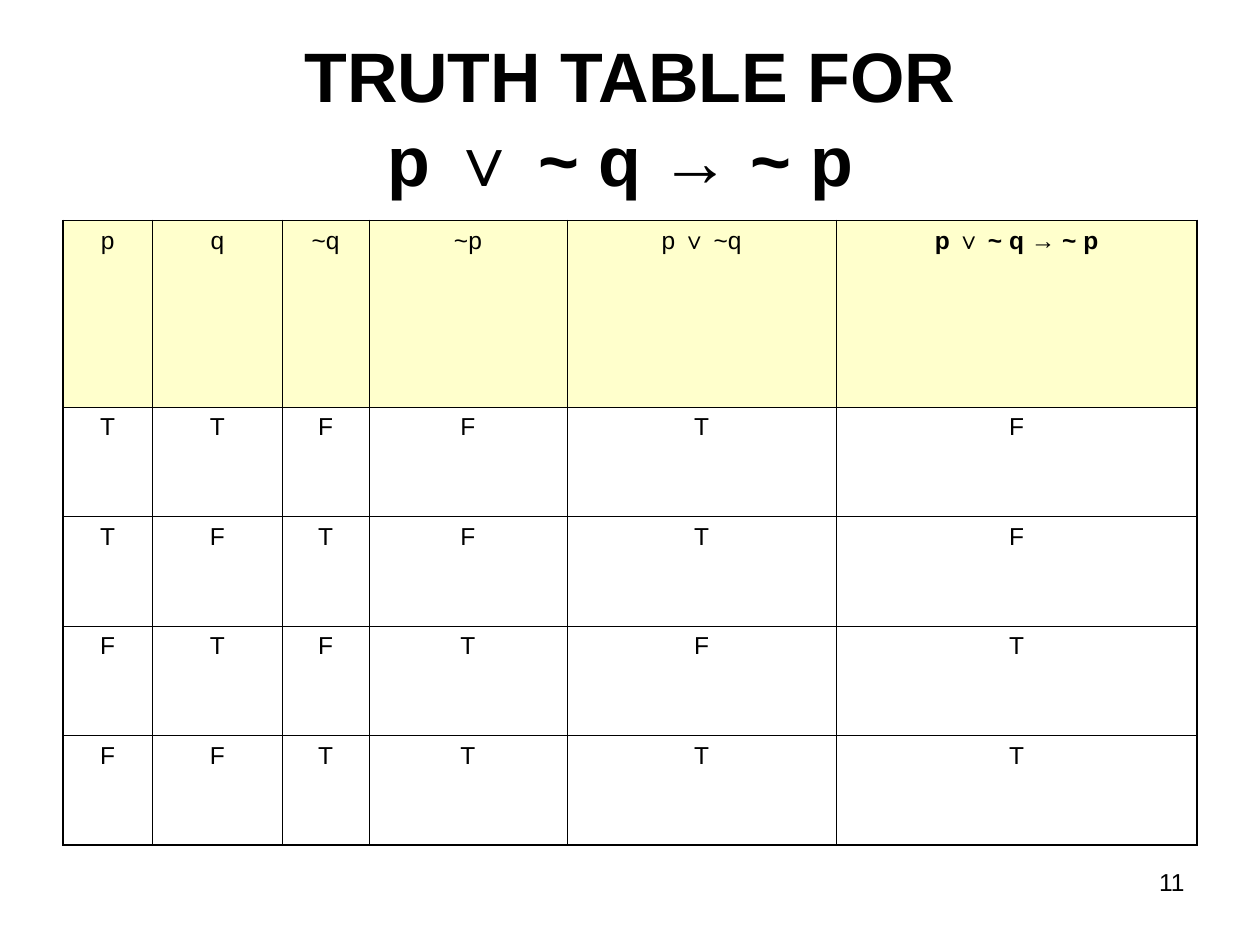
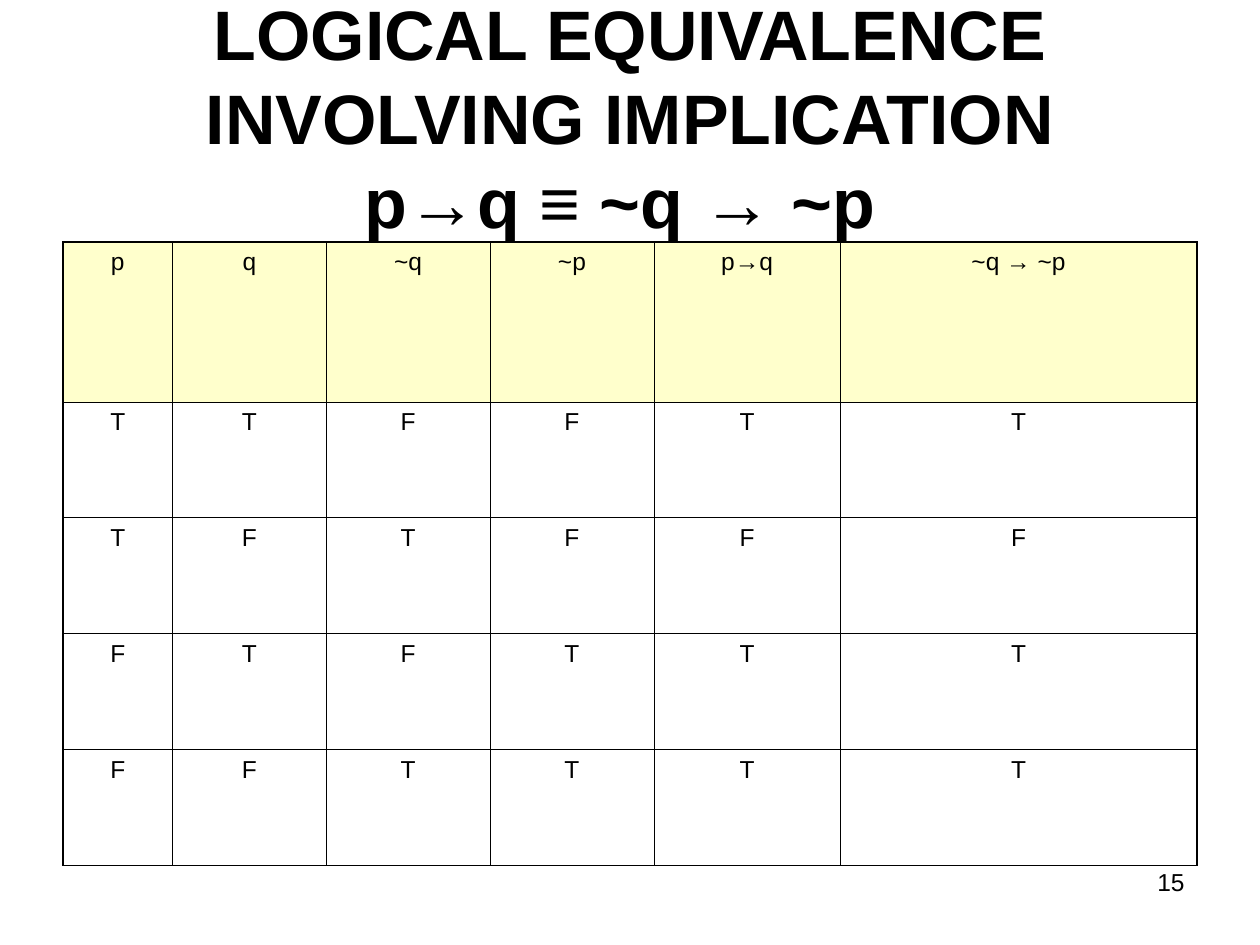
from lxml.etree import SubElement
from pptx import Presentation
from pptx.dml.color import RGBColor
from pptx.enum.text import MSO_ANCHOR, PP_ALIGN
from pptx.oxml.ns import qn
from pptx.util import Inches, Pt

COLORS = {"ink": "000000", "header": "FFFFCC"}
FONT = "Arial"
MARGIN, TABLE_WIDTH = 0.5, 9
OUTER_LINE, INNER_LINE = 1.08, 0.45

TRUTH_TABLES = [
    {
        "title": "TRUTH TABLE FOR\np ∨ ~ q → ~ p ",
        "number": "11",
        "headings": ["p", "q", "~q", "~p", "p ∨ ~q", "p ∨ ~ q → ~ p"],
        "bold_headings": ["p ∨ ~ q → ~ p"],
        "values": ["TTFFTF", "TFTFTF", "FTFTFT", "FFTTTT"],
        "top": 1.75,
        "columns": [0.71, 1.03, 0.69, 1.57, 2.14, 2.86],
        "header_height": 1.48,
        "value_height": 0.87,
    },
    {
        "title": "LOGICAL EQUIVALENCE INVOLVING IMPLICATION\np→q ≡ ~q → ~p ",
        "number": "15",
        "headings": ["p", "q", "~q", "~p", "p→q", "~q → ~p"],
        "bold_headings": [],
        "values": ["TTFFTT", "TFTFFF", "FTFTTT", "FFTTTT"],
        "top": 1.92,
        "columns": [0.87, 1.22, 1.3, 1.3, 1.48, 2.83],
        "header_height": 1.27,
        "value_height": 0.92,
    },
]


def write(frame, text, size=14, bold=False, align=PP_ALIGN.CENTER, spacing=None):
    frame.word_wrap = True
    paragraph = frame.paragraphs[0]
    paragraph.text = text.replace("\n", "\v")
    paragraph.alignment = align
    if spacing:
        paragraph.line_spacing = Pt(spacing)
    for run in paragraph.runs:
        run.font.name = FONT
        run.font.size = Pt(size)
        run.font.bold = bold
        run.font.color.rgb = RGBColor.from_string(COLORS["ink"])


def add_frame(slide, left, top, width, height, anchor=MSO_ANCHOR.TOP):
    box = slide.shapes.add_textbox(*map(Inches, (left, top, width, height)))
    box.text_frame.vertical_anchor = anchor
    return box.text_frame


def set_borders(cell, outer_sides):
    properties = cell._tc.get_or_add_tcPr()
    for side in "LRTB":
        width = OUTER_LINE if side in outer_sides else INNER_LINE
        line = SubElement(properties, qn(f"a:ln{side}"), w=str(Pt(width)))
        fill = SubElement(line, qn("a:solidFill"))
        SubElement(fill, qn("a:srgbClr"), val=COLORS["ink"])


def add_truth_table(slide, content):
    rows = [content["headings"], *content["values"]]
    heights = [content["header_height"]] + [content["value_height"]] * len(content["values"])
    last_row, last_column = len(rows) - 1, len(content["columns"]) - 1
    table = slide.shapes.add_table(
        len(rows), last_column + 1, Inches(MARGIN), Inches(content["top"]),
        Inches(TABLE_WIDTH), Inches(sum(heights)),
    ).table
    table.first_row = table.horz_banding = False
    for column, width in zip(table.columns, content["columns"]):
        column.width = Inches(width)
    for r, (values, height) in enumerate(zip(rows, heights)):
        table.rows[r].height = Inches(height)
        for c, value in enumerate(values):
            cell = table.cell(r, c)
            edges = {"L": c == 0, "R": c == last_column, "T": r == 0, "B": r == last_row}
            set_borders(cell, [side for side, outer in edges.items() if outer])
            if r == 0:
                cell.fill.solid()
                cell.fill.fore_color.rgb = RGBColor.from_string(COLORS["header"])
            else:
                cell.fill.background()
            write(cell.text_frame, value, bold=value in content["bold_headings"])


def main():
    """Build the truth table slides."""
    deck = Presentation()
    deck.slide_width, deck.slide_height = Inches(10), Inches(7.5)
    for content in TRUTH_TABLES:
        slide = deck.slides.add_slide(deck.slide_layouts[6])
        write(add_frame(slide, 7.17, 6.83, 2.33, 0.52), content["number"], align=PP_ALIGN.RIGHT)
        title = add_frame(slide, MARGIN, 0.3, TABLE_WIDTH, 1.25, MSO_ANCHOR.MIDDLE)
        write(title, content["title"], size=40, bold=True, spacing=48)
        add_truth_table(slide, content)
    deck.save("out.pptx")


if __name__ == "__main__":
    main()
